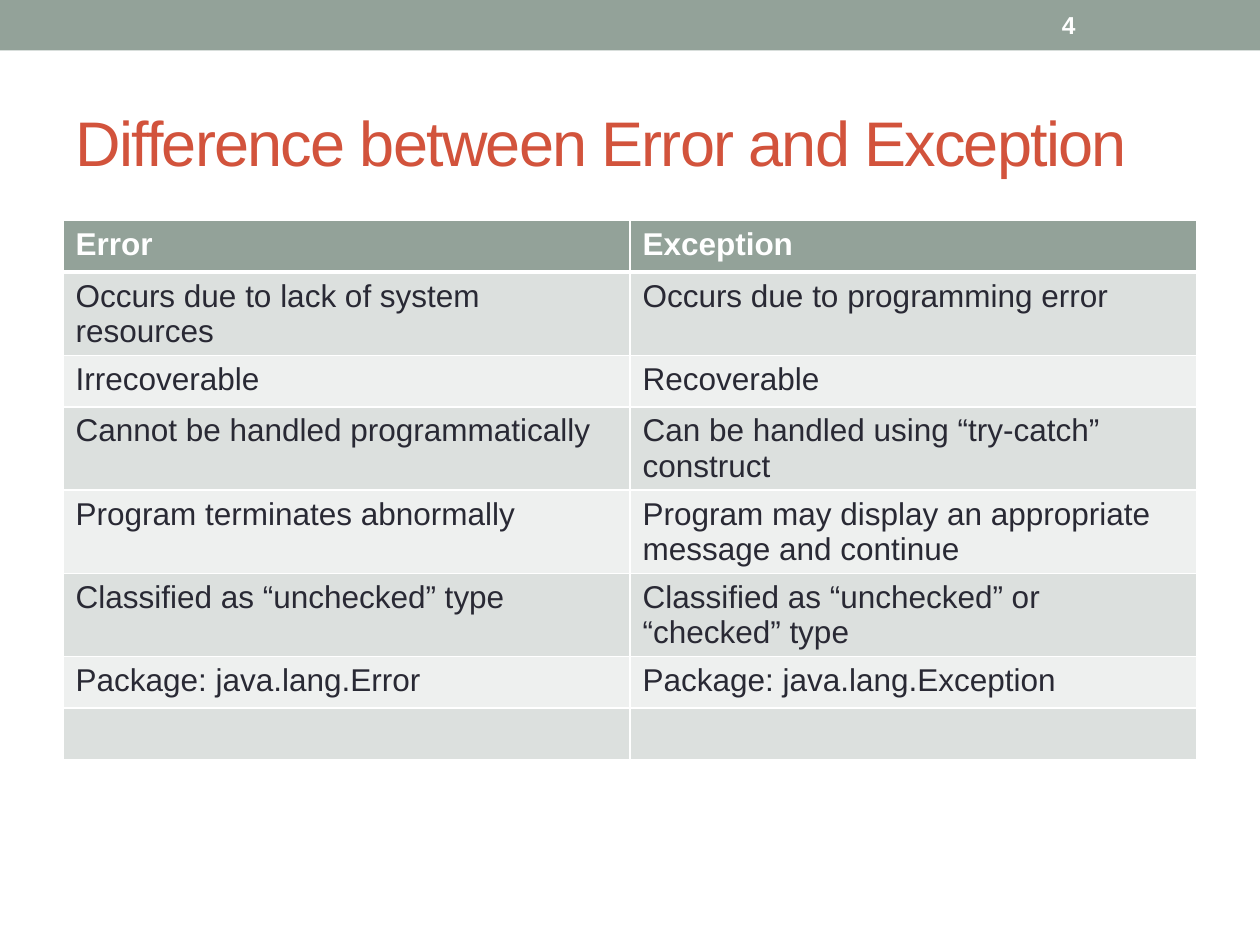
from dataclasses import dataclass

from lxml import etree
from pptx import Presentation
from pptx import util as u
from pptx.dml.color import RGBColor
from pptx.enum import shapes, text
from pptx.oxml import ns

COLORS = {
    "sage": "93A299",
    "brick": "D2533C",
    "ink": "292934",
    "white": "FFFFFF",
    "band_dark": "DCE0DE",
    "band_light": "EEF0EF",
}
FONT = "Arial"


@dataclass
class Comparison:
    error: str
    exception: str


COMPARISONS = [
    Comparison("Error", "Exception"),
    Comparison("Occurs due to lack of system resources", "Occurs due to programming error"),
    Comparison("Irrecoverable", "Recoverable"),
    Comparison("Cannot be handled programmatically", "Can be handled using “try-catch” construct"),
    Comparison("Program terminates abnormally",
               "Program may display an appropriate message and continue"),
    Comparison("Classified as “unchecked” type", "Classified as “unchecked” or “checked” type"),
    Comparison("Package: java.lang.Error", "Package: java.lang.Exception"),
    Comparison("", ""),
]


def rgb(name: str) -> RGBColor:
    return RGBColor.from_string(COLORS[name])


def write(text_frame, content: str, size: int, color: str, bold: bool = False) -> None:
    text_frame.text = content
    for run in text_frame.paragraphs[0].runs:
        run.font.name = FONT
        run.font.size = u.Pt(size)
        run.font.bold = bold
        run.font.color.rgb = rgb(color)


def add_borders(cell, bottom_width: int) -> None:
    properties = cell._tc.get_or_add_tcPr()
    widths = {"lnL": 1, "lnR": 1, "lnT": 1, "lnB": bottom_width}
    for index, (side, width) in enumerate(widths.items()):
        line = etree.Element(ns.qn(f"a:{side}"), w=str(u.Pt(width)))
        fill = etree.SubElement(line, ns.qn("a:solidFill"))
        etree.SubElement(fill, ns.qn("a:srgbClr"), val=COLORS["white"])
        properties.insert(index, line)


def add_header_bar(slide) -> None:
    bar = slide.shapes.add_shape(shapes.MSO_SHAPE.RECTANGLE, 0, 0, u.Inches(10), u.Inches(0.4))
    bar.shadow.inherit = False
    bar.fill.solid()
    bar.fill.fore_color.rgb = rgb("sage")
    bar.line.fill.background()


def format_title(slide, content: str) -> None:
    title = slide.shapes.title
    title.left, title.top = u.Inches(0.5), u.Inches(0.58)
    title.width, title.height = u.Inches(9), u.Inches(1.08)
    write(title.text_frame, content, 36, "brick")
    title.text_frame.vertical_anchor = text.MSO_ANCHOR.MIDDLE
    paragraph = title.text_frame.paragraphs[0]
    paragraph.alignment = text.PP_ALIGN.LEFT
    paragraph.runs[0].font._element.set("spc", "-100")


def add_comparison_table(slide, comparisons: list[Comparison]) -> None:
    row_height = u.Inches(0.41)
    table = slide.shapes.add_table(
        len(comparisons), 2, u.Inches(0.5), u.Inches(1.75),
        u.Inches(9), row_height * len(comparisons)).table
    for row_index, comparison in enumerate(comparisons):
        header = row_index == 0
        table.rows[row_index].height = row_height
        band = "sage" if header else "band_dark" if row_index % 2 else "band_light"
        for column, content in enumerate((comparison.error, comparison.exception)):
            cell = table.cell(row_index, column)
            cell.fill.solid()
            cell.fill.fore_color.rgb = rgb(band)
            write(cell.text_frame, content, 18, "white" if header else "ink", header)
            add_borders(cell, 3 if header else 1)


def add_slide_number(slide, number: int) -> None:
    box = slide.shapes.add_textbox(u.Inches(8.33), u.Inches(0.02), u.Inches(1.17), u.Inches(0.36))
    box.text_frame.word_wrap = True
    box.text_frame.vertical_anchor = text.MSO_ANCHOR.MIDDLE
    write(box.text_frame, str(number), 14, "white", True)


def main() -> None:
    presentation = Presentation()
    presentation.slide_width, presentation.slide_height = u.Inches(10), u.Inches(7.5)
    slide = presentation.slides.add_slide(presentation.slide_layouts[5])
    add_header_bar(slide)
    format_title(slide, "Difference between Error and Exception")
    add_comparison_table(slide, COMPARISONS)
    add_slide_number(slide, 4)
    presentation.save("out.pptx")


if __name__ == "__main__":
    main()
